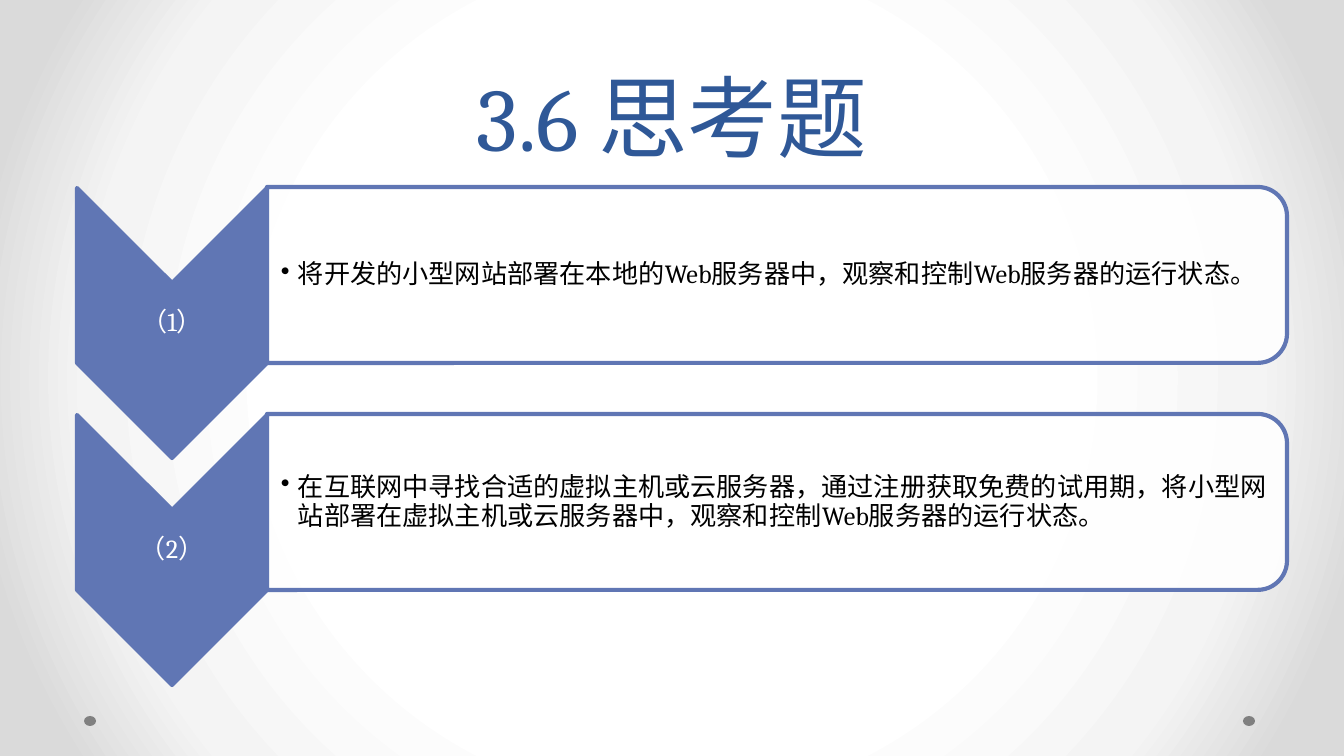
import lxml.etree
import pptx
import pptx.dml.color
import pptx.enum.shapes
import pptx.enum.text
import pptx.oxml
import pptx.oxml.ns
import pptx.util

THEME = {
    "font": "Cambria",
    "title": "2F5897",
    "accent": "6076B4",
    "panel": "FFFFFF",
    "label": "FFFFFF",
    "body": "000000",
    "dot": "808080",
    "background": [(50, "FFFFFF"), (76, "F4F4F4"), (92, "DADADA")],
    "title_size": 48,
    "text_size": 14,
    "outline": 2.25,
}
PX = 914400 / 134.4
SHAPES = pptx.enum.shapes.MSO_SHAPE
ANCHOR = pptx.enum.text.MSO_ANCHOR
ALIGN = pptx.enum.text.PP_ALIGN
qn = pptx.oxml.ns.qn

presentation = pptx.Presentation()
presentation.slide_width = round(1344 * PX)
presentation.slide_height = round(756 * PX)
slide = presentation.slides.add_slide(presentation.slide_layouts[6])


def add_text(text, box, size=THEME["text_size"], color=THEME["body"], align=ALIGN.LEFT,
             anchor=ANCHOR.MIDDLE, insets=(1, 1, 1, 1), spacing=0.9, after=0, bullet_indent=0):
    shape = slide.shapes.add_textbox(*[round(value * PX) for value in box])
    frame = shape.text_frame
    frame.word_wrap = True
    frame.vertical_anchor = anchor
    frame.margin_left, frame.margin_top, frame.margin_right, frame.margin_bottom = [
        round(value * PX) for value in insets]
    paragraph = frame.paragraphs[0]
    paragraph.alignment = align
    paragraph.line_spacing = spacing
    paragraph.space_after = pptx.util.Pt(after)
    run = paragraph.add_run()
    run.text = text
    run.font.name = THEME["font"]
    run.font.size = pptx.util.Pt(size)
    run.font.color.rgb = pptx.dml.color.RGBColor.from_string(color)
    if bullet_indent:
        properties = paragraph._p.get_or_add_pPr()
        properties.set("marL", str(round(bullet_indent * PX)))
        properties.set("indent", str(-round(bullet_indent * PX)))
        lxml.etree.SubElement(properties, qn("a:buChar")).set("char", "•")


def add_shape(kind, box, fill, line=None, rotation=0):
    shape = slide.shapes.add_shape(kind, *[round(value * PX) for value in box])
    shape.shadow.inherit = False
    shape.rotation = rotation
    shape.fill.solid()
    shape.fill.fore_color.rgb = pptx.dml.color.RGBColor.from_string(fill)
    if line:
        shape.line.color.rgb = pptx.dml.color.RGBColor.from_string(line)
        shape.line.width = pptx.util.Pt(THEME["outline"])
    else:
        shape.line.fill.background()
    return shape


slide.background.fill.gradient()
gradient = slide.background._cSld.find(".//" + qn("a:gradFill"))
for child in list(gradient):
    gradient.remove(child)
stops = lxml.etree.SubElement(gradient, qn("a:gsLst"))
for position, color in THEME["background"]:
    stop = lxml.etree.SubElement(stops, qn("a:gs"))
    stop.set("pos", str(position * 1000))
    lxml.etree.SubElement(stop, qn("a:srgbClr")).set("val", color)
circle = lxml.etree.SubElement(gradient, qn("a:path"))
circle.set("path", "circle")
center = lxml.etree.SubElement(circle, qn("a:fillToRect"))
for side in "ltrb":
    center.set(side, "50000")

for left in (1243, 84):
    add_shape(SHAPES.OVAL, (left, 716, 12, 10), THEME["dot"])

add_text("3.6 思考题", (67, 0, 1210, 176), size=THEME["title_size"], color=THEME["title"],
         align=ALIGN.CENTER, anchor=ANCHOR.BOTTOM, insets=(13, 7, 13, 7),
         spacing=pptx.util.Pt(58))

questions = [
    ("（1）", "将开发的小型网站部署在本地的Web服务器中，观察和控制Web服务器的运行状态。"),
    ("（2）", "在互联网中寻找合适的虚拟主机或云服务器，通过注册获取免费的试用期，"
             "将小型网站部署在虚拟主机或云服务器中，观察和控制Web服务器的运行状态。"),
]
for index, (number, question) in enumerate(questions):
    offset = index * 227
    add_shape(SHAPES.CHEVRON, (37, 228 + offset, 270, 190),
              THEME["accent"], THEME["accent"], rotation=90)
    add_text(number, (77, 283 + offset, 190, 81), color=THEME["label"],
             align=ALIGN.CENTER, after=5)
    panel = add_shape(SHAPES.ROUND_2_SAME_RECTANGLE, (689, -235 + offset, 176, 1020),
                      THEME["panel"], THEME["accent"], rotation=90)
    panel_color = panel._element.spPr.find(qn("a:solidFill")).find(qn("a:srgbClr"))
    lxml.etree.SubElement(panel_color, qn("a:alpha")).set("val", "90000")
    add_text(question, (266, 196 + offset, 1012, 159), insets=(15, 1, 1, 1),
             after=2, bullet_indent=17)

presentation.save("out.pptx")
